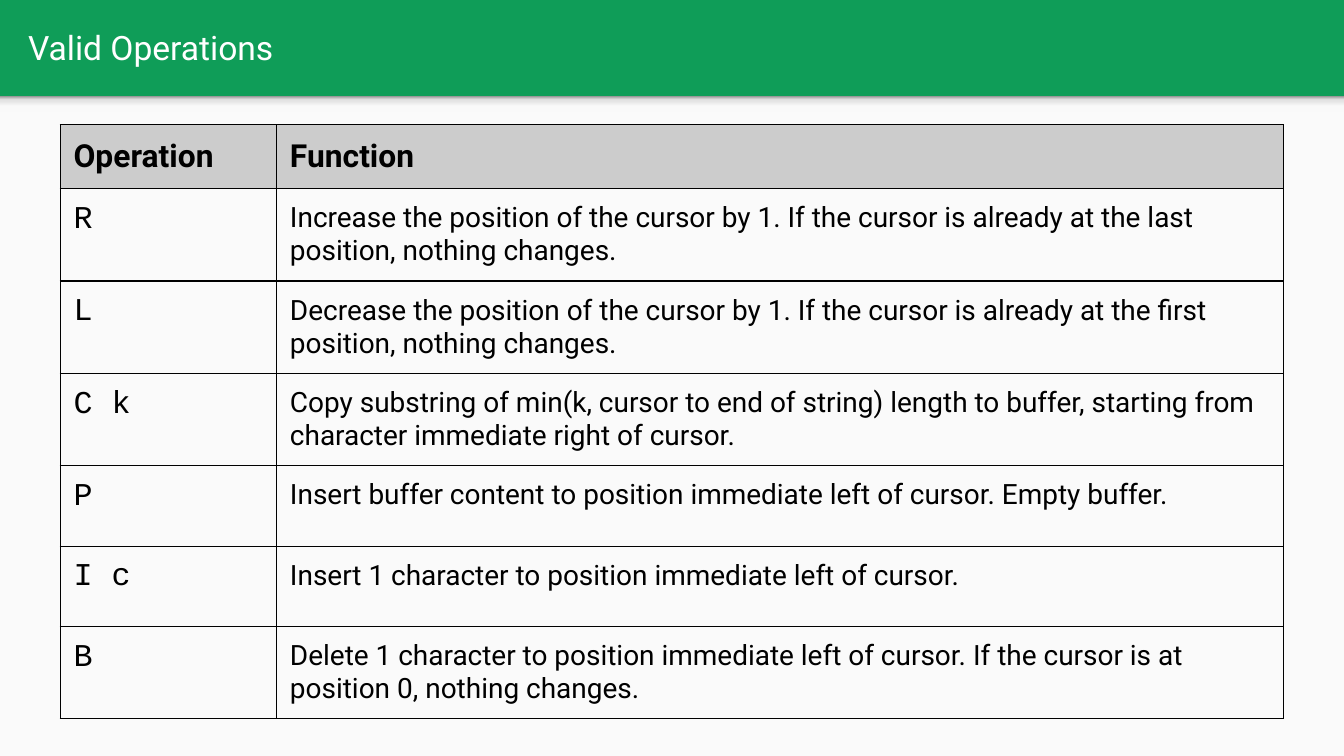
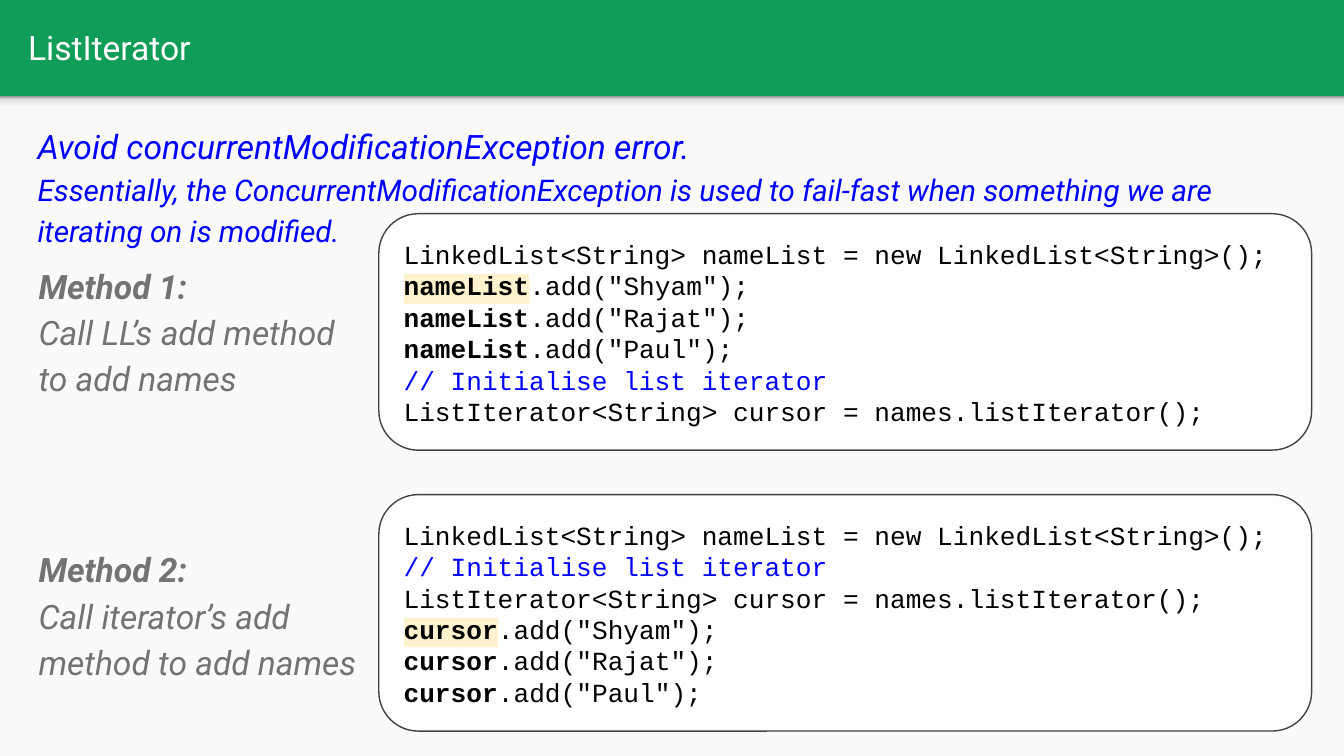
from pptx import Presentation
from pptx.util import Cm, Pt
from pptx.dml.color import RGBColor as Rgb
from pptx.enum.shapes import MSO_SHAPE as Kind
from pptx.enum.text import MSO_ANCHOR as Anchor, PP_ALIGN as Align, MSO_AUTO_SIZE as Auto
from pptx.oxml import parse_xml as xml
from pptx.oxml.ns import nsdecls

HUE = {
    "green": "0F9D58", "page": "FAFAFA", "white": "FFFFFF", "black": "000000",
    "head": "CCCCCC", "edge": "424242", "grey": "737373", "blue": "0000FF",
    "mark": "FFF2CC",
}
FADE = [(0, "F9F9F9"), (36, "F9F9F9"), (80, "DEDEDE"), (100, "999999")]
SANS, MONO = "Roboto", "Courier New"
WIDE, HIGH, BAND = 25.4, 14.29, 1.82
PAD = Cm(0.25)


def hue(name):
    return Rgb.from_string(HUE[name])


def span(box):
    return [Cm(v) for v in box]


def style(run, size=18, font=SANS, color="black", bold=False, italic=False, mark=None):
    face = run.font
    face.size, face.bold, face.italic = Pt(size), bold, italic
    face.color.rgb = hue(color)
    if mark:
        tint = xml(f'<a:highlight {nsdecls("a")}><a:srgbClr val="{HUE[mark]}"/></a:highlight>')
        run._r.get_or_add_rPr().append(tint)
    face.name = font


def write(frame, lines, anchor=Anchor.TOP, space=None, **fmt):
    frame.word_wrap = True
    frame.auto_size = Auto.NONE
    frame.vertical_anchor = anchor
    frame.margin_left = frame.margin_right = PAD
    frame.margin_top = frame.margin_bottom = PAD
    for n, line in enumerate(lines):
        para = frame.add_paragraph() if n else frame.paragraphs[0]
        para.alignment = Align.LEFT
        if space:
            para.line_spacing = space
        for words, extra in line:
            run = para.add_run()
            run.text = words
            style(run, **{**fmt, **extra})


def block(slide, kind, box, fill):
    shape = slide.shapes.add_shape(kind, *span(box))
    shape.shadow.inherit = False
    shape.fill.solid()
    shape.fill.fore_color.rgb = hue(fill)
    shape.line.fill.background()
    return shape


def note(slide, box, lines, **fmt):
    write(slide.shapes.add_textbox(*span(box)).text_frame, lines, space=1.15, italic=True, **fmt)


def base(deck, slide):
    fill = deck.slide_master.background.fill
    fill.solid()
    fill.fore_color.rgb = hue("green")
    page = block(slide, Kind.RECTANGLE, (0, BAND, WIDE, HIGH - BAND), "page")
    shade = block(slide, Kind.RECTANGLE, (0, BAND, WIDE, 0.3), "page")
    shade.fill.gradient()
    shade.fill.gradient_angle = 90
    stops = shade._element.spPr.find(".//{*}gsLst")
    for old in list(stops):
        stops.remove(old)
    for spot, tone in FADE:
        stops.append(xml(f'<a:gs {nsdecls("a")} pos="{spot * 1000}"><a:srgbClr val="{tone}"/></a:gs>'))
    tree = slide.slide_layout.shapes._spTree
    for n, shape in enumerate((page, shade)):
        tree.insert(2 + n, shape._element)


def head(deck, words):
    slide = deck.slides.add_slide(deck.slide_layouts[5])
    title = slide.shapes.title
    title.left, title.top, title.width, title.height = span((0.28, 0.05, 24.51, 1.68))
    write(title.text_frame, [[(words, {})]], anchor=Anchor.MIDDLE, color="white")
    return slide


def rule(cell):
    props = cell._tc.get_or_add_tcPr()
    for n, side in enumerate(("lnL", "lnR", "lnT", "lnB")):
        props.insert(n, xml(
            f'<a:{side} {nsdecls("a")} w="9525"><a:solidFill><a:srgbClr val="{HUE["black"]}"/>'
            f'</a:solidFill><a:prstDash val="solid"/></a:{side}>'))


def grid(slide, box, rows, first):
    frame = slide.shapes.add_table(len(rows), 2, *span(box))
    table = frame.table
    table.first_row = table.horz_banding = False
    for col, wide in zip(table.columns, (first, box[2] - first)):
        col.width = Cm(wide)
    for r, row in enumerate(rows):
        table.rows[r].height = Cm(1.52 if r else 1.12)
        for c, words in enumerate(row):
            cell = table.cell(r, c)
            if r:
                cell.fill.background()
                fmt = {"size": 15} if c else {"size": 17, "font": MONO}
            else:
                cell.fill.solid()
                cell.fill.fore_color.rgb = hue("head")
                fmt = {"size": 17, "bold": True}
            cell.margin_left = cell.margin_right = PAD
            cell.margin_top = cell.margin_bottom = PAD
            run = cell.text_frame.paragraphs[0].add_run()
            run.text = words
            style(run, **fmt)
            rule(cell)
    frame.height = Cm(box[3])


def calls(name):
    return [[(name, {"bold": True, "mark": None if n else "mark"}), (f'.add("{who}");', {})]
            for n, who in enumerate(("Shyam", "Rajat", "Paul"))]


def method(slide, box, label, hint, code, side, drop):
    left, top, wide, high = box
    shape = block(slide, Kind.ROUNDED_RECTANGLE, (left + 6.68, top, wide - 6.68, high), "white")
    shape.adjustments[0] = 0.167
    shape.line.color.rgb = hue("edge")
    shape.line.width = Pt(0.75)
    write(shape.text_frame, code, size=14, font=MONO)
    note(slide, (left, top + drop, side, 3.86), [[(label, {"bold": True})], [(hint, {})]],
         anchor=Anchor.MIDDLE, color="grey")


OPS = [
    ("Operation", "Function"),
    ("R", "Increase the position of the cursor by 1. If the cursor is already at the last position, nothing changes."),
    ("L", "Decrease the position of the cursor by 1. If the cursor is already at the first position, nothing changes."),
    ("C k", "Copy substring of min(k, cursor to end of string) length to buffer, "
            "starting from character immediate right of cursor. "),
    ("P", "Insert buffer content to position immediate left of cursor. Empty buffer."),
    ("I c", "Insert 1 character to position immediate left of cursor."),
    ("B", "Delete 1 character to position immediate left of cursor. If the cursor is at position 0, nothing changes."),
]
MAKE = [[("LinkedList<String> nameList = new LinkedList<String>();", {})]]
INIT = [
    [("// Initialise list iterator", {"color": "blue"})],
    [("ListIterator<String> cursor = names.listIterator();", {})],
]
LEAD = [
    [("Avoid concurrentModificationException error.", {})],
    [("Essentially, the ConcurrentModificationException is used to fail-fast when "
      "something we are iterating on is modified.", {"size": 16})],
]

deck = Presentation()
deck.slide_width, deck.slide_height = Cm(WIDE), Cm(HIGH)

ops = head(deck, "Valid Operations")
base(deck, ops)
grid(ops, (1.14, 2.36, 23.11, 11.38), OPS, 4.09)

iters = head(deck, "ListIterator")
method(iters, (0.48, 4.04, 24.31, 4.47), "Method 1: ", "Call LL’s add method to add names",
       MAKE + calls("nameList") + INIT, 6.3, 0.25)
method(iters, (0.48, 9.35, 24.31, 4.47), "Method 2: ", "Call iterator’s add method to add names",
       MAKE + INIT + calls("cursor"), 6.68, 0.3)
note(iters, (0.46, 2.01, 24.18, 1.19), LEAD, color="blue")

deck.save("out.pptx")
